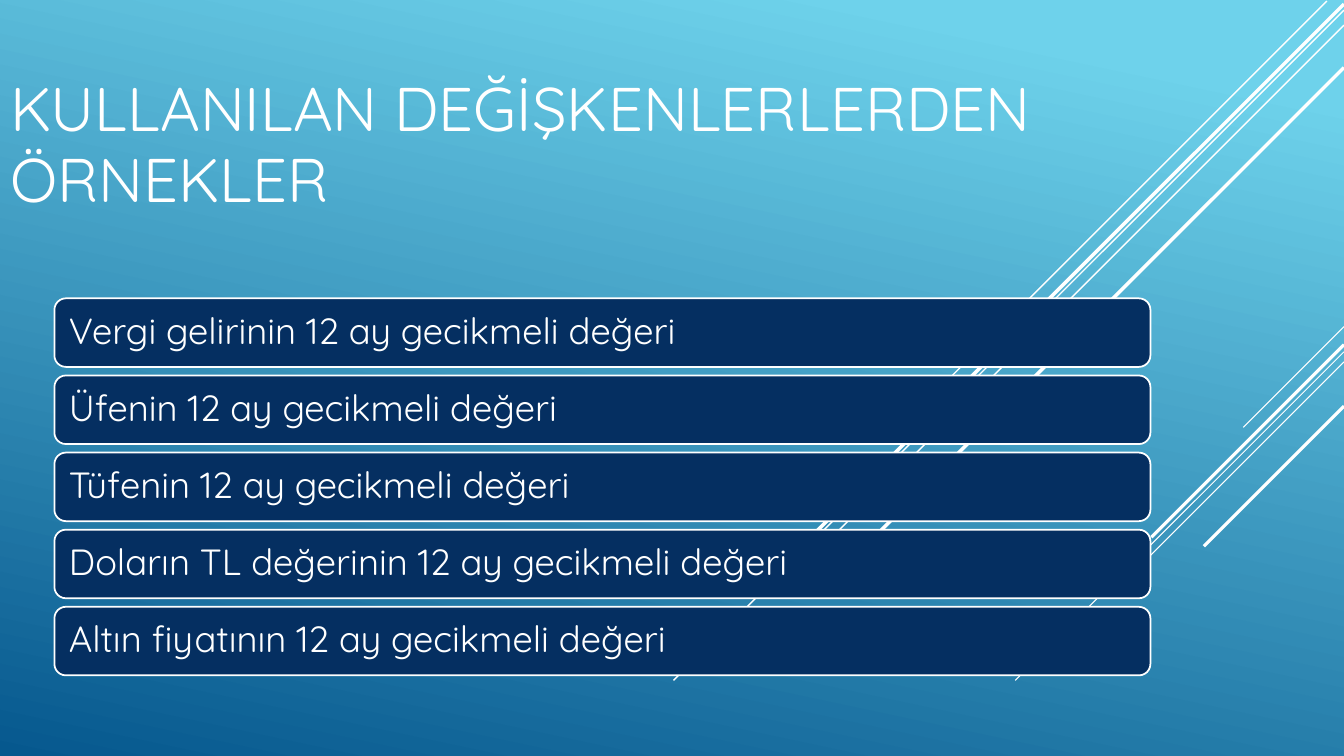
from pptx import Presentation
from pptx.dml.color import RGBColor
from pptx.enum.shapes import MSO_CONNECTOR, MSO_SHAPE
from pptx.enum.text import MSO_ANCHOR, PP_ALIGN
from pptx.oxml.ns import qn
from pptx.util import Inches, Pt
from lxml.etree import SubElement

WHITE = RGBColor(0xFF, 0xFF, 0xFF)
NAVY = RGBColor(0x05, 0x2F, 0x61)
SKY = RGBColor(0x6E, 0xD2, 0xEB)
OCEAN = RGBColor(0x06, 0x58, 0x8E)
FONT = "Quicksand"

UPPER_RAYS = [
    (13.16, 0.01, 4.16, 1),
    (13.33, 0.1, 6.65, 1),
    (13.33, 0.25, 5.42, 1),
    (13.33, 0.04, 5.3, 2.5),
    (13.33, 0.67, 4.75, 2.5),
]
LOWER_RAYS = [
    (13.33, 3.24, 1, 0.75),
    (13.33, 3.49, 3.26, 0.75),
    (13.33, 3.59, 2.07, 0.75),
    (13.33, 3.42, 1.91, 2.25),
    (13.33, 4.03, 1.39, 2.25),
]
VARIABLES = [
    "Vergi gelirinin 12 ay gecikmeli değeri",
    "Üfenin 12 ay gecikmeli değeri",
    "Tüfenin 12 ay gecikmeli değeri",
    "Doların TL değerinin 12 ay gecikmeli değeri",
    "Altın fiyatının 12 ay gecikmeli değeri",
]


def set_attrs(obj, values):
    for name, value in values.items():
        setattr(obj, name, value)


def write(shape, text, size, frame, para):
    tf = shape.text_frame
    set_attrs(tf, {"word_wrap": True, **frame})
    p = tf.paragraphs[0]
    set_attrs(p, {"alignment": PP_ALIGN.LEFT, **para})
    r = p.add_run()
    r.text = text
    set_attrs(r.font, {"name": FONT, "size": Pt(size)})
    r.font.color.rgb = WHITE


def paint_background(s):
    fill = s.background.fill
    fill.gradient()
    fill.gradient_angle = 258
    for stop, color, position in zip(fill.gradient_stops, (SKY, OCEAN), (0.1, 1)):
        stop.color.rgb = color
        stop.position = position


def add_title(s, text, left, top, width, height):
    title = s.shapes.title
    set_attrs(title, {"left": Inches(left), "top": Inches(top),
                      "width": Inches(width), "height": Inches(height)})
    write(title, text, 44, {"vertical_anchor": MSO_ANCHOR.BOTTOM},
          {"line_spacing": 0.96})


def add_rays(shapes, rays):
    for x, y, length, weight in rays:
        ray = shapes.add_connector(MSO_CONNECTOR.STRAIGHT, Inches(x), Inches(y),
                                   Inches(x - length), Inches(y + length))
        ray.line.color.rgb = WHITE
        ray.line.width = Pt(weight)
        SubElement(ray._element.spPr, qn("a:effectLst"))


def add_bars(shapes, texts, left, top, width, height):
    gap = 0.085
    bar_height = (height - gap * (len(texts) - 1)) / len(texts)
    for i, text in enumerate(texts):
        bar = shapes.add_shape(MSO_SHAPE.ROUNDED_RECTANGLE, Inches(left),
                               Inches(top + i * (bar_height + gap)),
                               Inches(width), Inches(bar_height))
        bar.shadow.inherit = False
        bar.fill.solid()
        bar.fill.fore_color.rgb = NAVY
        bar.line.color.rgb = WHITE
        bar.line.width = Pt(1.25)
        write(bar, text, 26,
              {"vertical_anchor": MSO_ANCHOR.MIDDLE, "margin_left": Inches(0.11)},
              {"line_spacing": 0.9})


def main():
    prs = Presentation()
    set_attrs(prs, {"slide_width": Inches(13.33), "slide_height": Inches(7.5)})
    s = prs.slides.add_slide(prs.slide_layouts[5])
    paint_background(s)
    add_rays(s.shapes, UPPER_RAYS)
    add_title(s, "KULLANILAN DEĞİŞKENLERLERDEN ÖRNEKLER", 0, 0, 13.5, 2.2)
    add_rays(s.shapes.add_group_shape().shapes, LOWER_RAYS)
    add_bars(s.shapes.add_group_shape().shapes, VARIABLES, 0.54, 2.96, 10.87, 3.74)
    prs.save("out.pptx")


if __name__ == "__main__":
    main()
